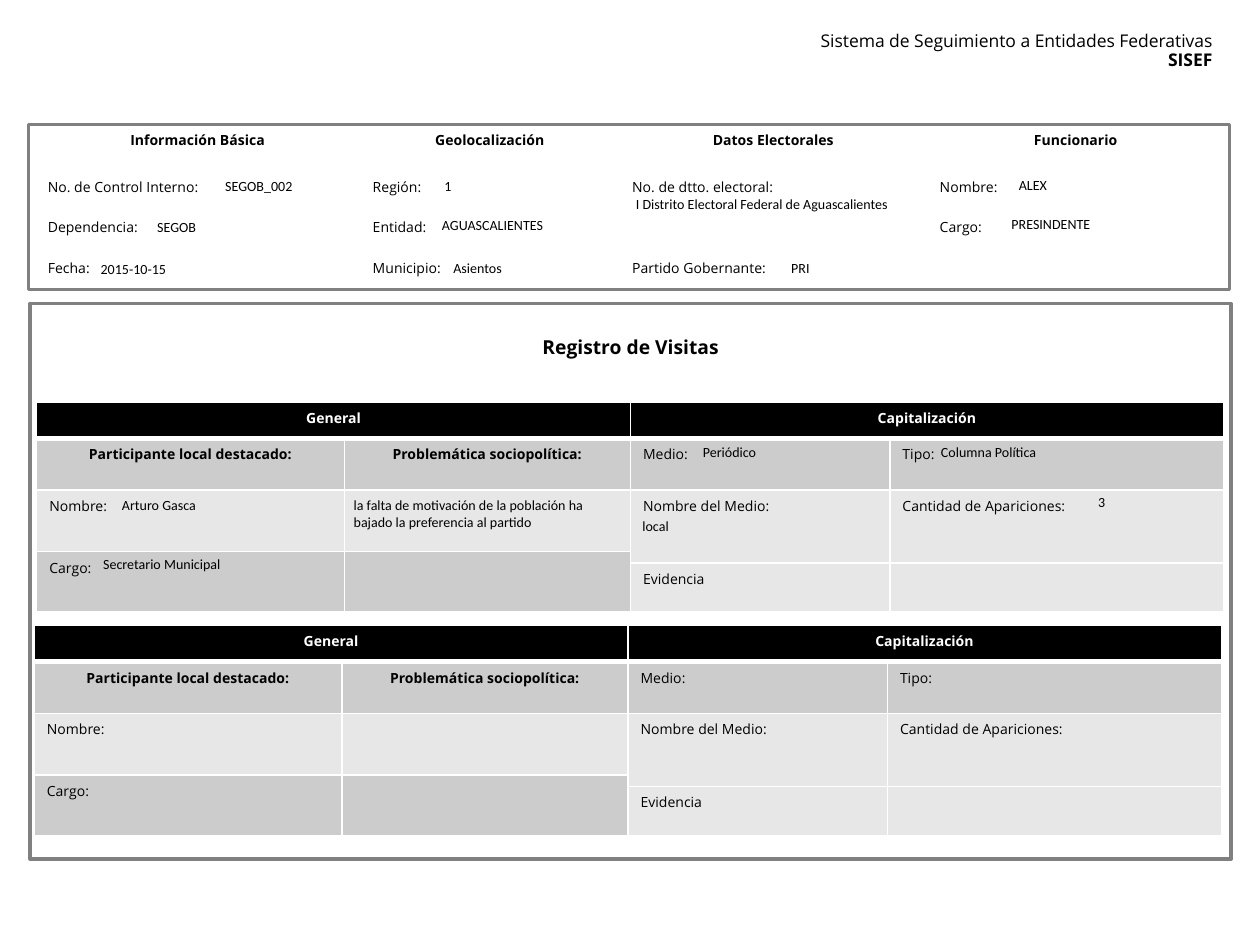
from lxml import etree
from pptx import Presentation
from pptx.dml.color import RGBColor
from pptx.enum.shapes import MSO_SHAPE
from pptx.enum.text import PP_ALIGN
from pptx.oxml.ns import qn
from pptx.util import Cm, Pt

RECT = MSO_SHAPE.RECTANGLE
LEFT, CENTER, RIGHT = PP_ALIGN.LEFT, PP_ALIGN.CENTER, PP_ALIGN.RIGHT
BLACK = RGBColor(0x00, 0x00, 0x00)
WHITE = RGBColor(0xFF, 0xFF, 0xFF)
FRAME = RGBColor(0x80, 0x80, 0x80)
DARK = RGBColor(0xCC, 0xCC, 0xCC)
LIGHT = RGBColor(0xE7, 0xE7, 0xE7)
LABEL_FONT, VALUE_FONT = "Open Sans", "Calibri"

INFO_COLS = [6.55, 5.23, 6.2, 5.99]
INFO_ROWS = [0.93, 0.81, 0.84, 0.71]
INFO = [
    ["Información Básica", "Geolocalización", "Datos Electorales", "Funcionario"],
    ["No. de Control Interno:", "Región:", "No. de dtto. electoral:", "Nombre:"],
    ["Dependencia:", "Entidad:", "", "Cargo:"],
    ["Fecha:", "Municipio:", "Partido Gobernante:", ""],
]
VISIT_COLS = [6.2, 5.77, 5.23, 6.73]
VISIT_ROWS = [0.74, 1.04, 1.24, 0.23, 0.99]
VISIT = [
    ["General", "", "Capitalización", ""],
    ["Participante local destacado:", "Problemática sociopolítica:", "Medio:", "Tipo:"],
    ["Nombre:", "", "Nombre del Medio:", "Cantidad de Apariciones:"],
    ["Cargo:", "", "", ""],
    ["", "", "Evidencia", ""],
]
VISIT_MERGES = [(0, 0, 0, 1), (0, 2, 0, 3), (2, 2, 3, 2), (2, 3, 3, 3), (3, 0, 4, 0), (3, 1, 4, 1)]
VISIT_FILLS = [[BLACK] * 4, [DARK] * 4, [LIGHT] * 4, [DARK, DARK, LIGHT, LIGHT], [DARK, DARK, LIGHT, LIGHT]]

VALUES = [
    ("SEGOB_002", 4.29, 3.45, 2.21),
    ("SEGOB", 2.92, 4.29, 3.81),
    ("2015-10-15", 1.78, 5.13, 5),
    ("1", 8.71, 3.45, 3.81),
    ("AGUASCALIENTES", 8.66, 4.24, 3.61),
    ("Asientos", 8.89, 5.11, 3.18),
    ("I Distrito Electoral Federal de Aguascalientes", 12.57, 3.81, 6.15),
    ("ALEX", 20.29, 3.43, 3.99),
    ("PRI", 15.7, 5.11, 2.39),
    ("PRESINDENTE", 20.14, 4.22, 3.99),
    ("Arturo Gasca", 2.21, 9.88, 4.04),
    ("Secretario Municipal", 1.83, 11.07, 4.42),
    ("la falta de motivación de la población ha bajado la preferencia al partido", 6.88, 9.88, 5.66),
    ("Periódico", 13.92, 8.81, 3.99),
    ("Columna Política", 18.72, 8.81, 4.17),
    ("local", 12.7, 10.31, 4.8),
    ("3", 21.89, 9.83, 1.4),
]


def style(p, text, size, font, color=BLACK, bold=False, align=LEFT):
    p.text = text
    p.alignment = align
    p.font.size = Pt(size)
    p.font.name = font
    p.font.bold = bold
    p.font.color.rgb = color


def add_text(slide, box, lines, size, font, align=LEFT, spacing=None):
    tf = slide.shapes.add_textbox(*map(Cm, box)).text_frame
    tf.word_wrap = True
    for i, (text, bold) in enumerate(lines):
        p = tf.add_paragraph() if i else tf.paragraphs[0]
        style(p, text, size, font, bold=bold, align=align)
        if spacing:
            p.line_spacing = spacing


def add_frame(slide, *box):
    sp = slide.shapes.add_shape(RECT, *map(Cm, box))
    sp.shadow.inherit = False
    sp.fill.background()
    sp.line.color.rgb = FRAME
    sp.line.width = Pt(2)


def set_borders(cell, widths):
    tcPr = cell._tc.get_or_add_tcPr()
    for side, width in zip("LRTB", widths):
        ln = etree.SubElement(tcPr, qn(f"a:ln{side}"), w=str(Pt(width)))
        if width:
            fill = etree.SubElement(ln, qn("a:solidFill"))
            etree.SubElement(fill, qn("a:srgbClr"), val=str(WHITE))
        else:
            etree.SubElement(ln, qn("a:noFill"))


def add_grid(slide, left, top, cols, rows, texts, fills=None, merges=()):
    frame = slide.shapes.add_table(len(rows), len(cols), Cm(left), Cm(top), Cm(sum(cols)), Cm(sum(rows)))
    table = frame.table
    table.first_row = table.horz_banding = False
    for col, width in zip(table.columns, cols):
        col.width = Cm(width)
    for row, height in zip(table.rows, rows):
        row.height = Cm(height)
    for r, line in enumerate(texts):
        for c, text in enumerate(line):
            cell = table.cell(r, c)
            p = cell.text_frame.paragraphs[0]
            heading = r == 0 or text.startswith(("Participante", "Problemática"))
            color = WHITE if fills and r == 0 else BLACK
            style(p, text, 8, LABEL_FONT, color, heading, CENTER if heading else LEFT)
            if not text:
                etree.SubElement(p._p, qn("a:endParaRPr"), sz="800")
            if fills:
                set_borders(cell, (1, 1, 3 if r == 1 else 1, 3 if r == 0 else 1))
                cell.fill.solid()
                cell.fill.fore_color.rgb = fills[r][c]
            else:
                set_borders(cell, (0, 0, 0, 0))
                cell.fill.background()
    for r1, c1, r2, c2 in merges:
        table.cell(r1, c1).merge(table.cell(r2, c2))


def main():
    prs = Presentation()
    prs.slide_width, prs.slide_height = Cm(25.4), Cm(19.05)
    slide = prs.slides.add_slide(prs.slide_layouts[6])
    add_text(slide, (13.89, 0.53, 10.8, 1.12),
             [("Sistema de Seguimiento a Entidades Federativas", False), ("SISEF", True)],
             10, LABEL_FONT, RIGHT, 0.9)
    add_frame(slide, 0.58, 2.51, 24.21, 3.33)
    add_frame(slide, 0.61, 6.12, 24.21, 11.2)
    add_grid(slide, 0.71, 2.51, INFO_COLS, INFO_ROWS, INFO)
    add_text(slide, (10.11, 6.63, 5.21, 0.74), [("Registro de Visitas", True)], 11, LABEL_FONT, CENTER)
    for left, top in ((0.74, 8.1), (0.69, 12.6)):
        add_grid(slide, left, top, VISIT_COLS, VISIT_ROWS, VISIT, VISIT_FILLS, VISIT_MERGES)
    for text, left, top, width in VALUES:
        add_text(slide, (left, top, width, 0.61), [(text, False)], 8, VALUE_FONT)
    prs.save("out.pptx")


main()
